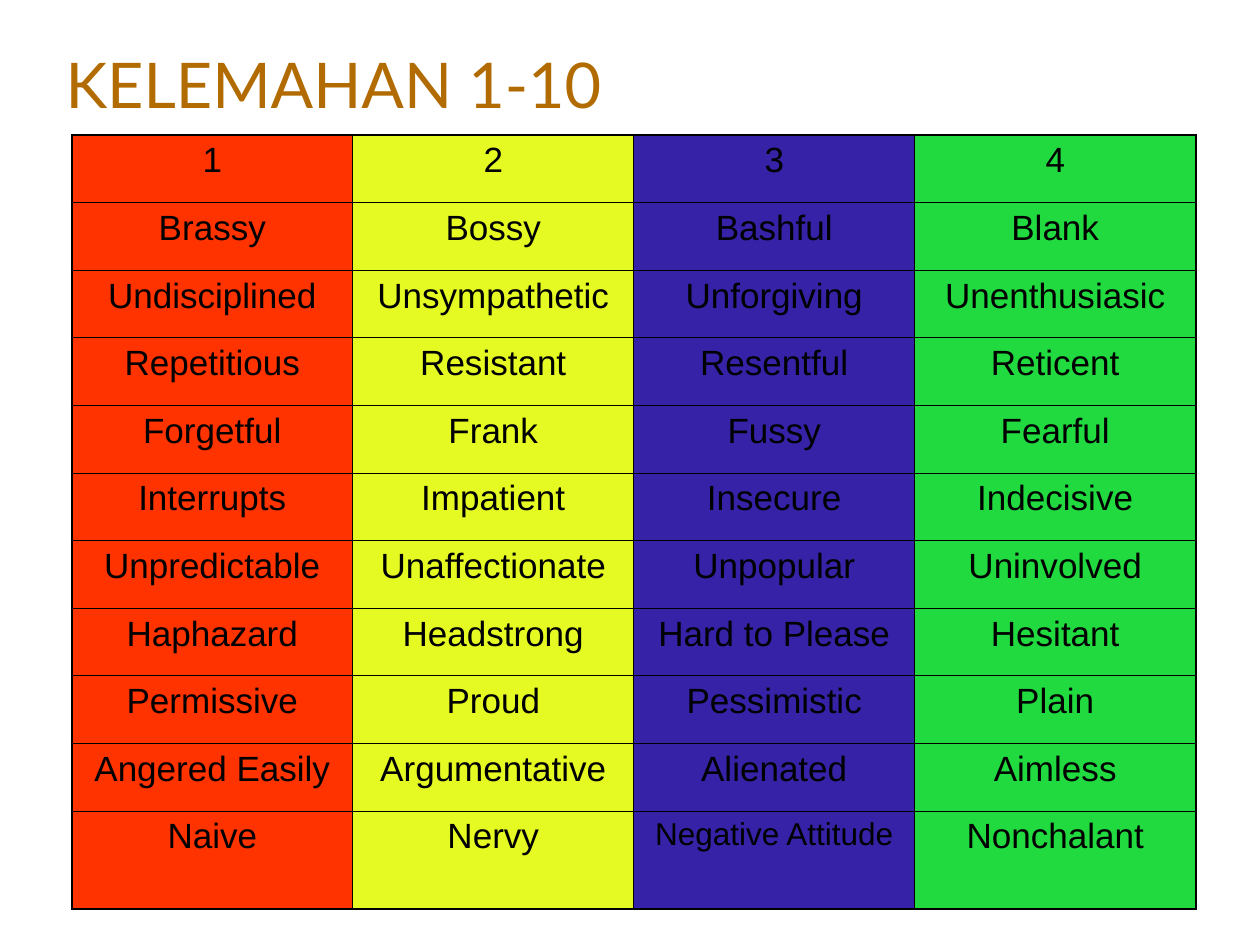
from lxml.etree import SubElement
from pptx import Presentation
from pptx.dml.color import RGBColor
from pptx.enum.text import MSO_ANCHOR, PP_ALIGN
from pptx.oxml import parse_xml
from pptx.oxml.ns import nsdecls, qn
from pptx.util import Inches, Pt

COLUMNS = {
    "FF3300": ["1", "Brassy", "Undisciplined", "Repetitious", "Forgetful", "Interrupts",
               "Unpredictable", "Haphazard", "Permissive", "Angered Easily", "Naive"],
    "E5F923": ["2", "Bossy", "Unsympathetic", "Resistant", "Frank", "Impatient",
               "Unaffectionate", "Headstrong", "Proud", "Argumentative", "Nervy"],
    "3522A6": ["3", "Bashful", "Unforgiving", "Resentful", "Fussy", "Insecure",
               "Unpopular", "Hard to Please", "Pessimistic", "Alienated", "Negative Attitude"],
    "20DA3F": ["4", "Blank", "Unenthusiasic", "Reticent", "Fearful", "Indecisive",
               "Uninvolved", "Hesitant", "Plain", "Aimless", "Nonchalant"],
}
SMALL_TEXT = {"Negative Attitude": 18}
THIN, THICK = 0.45, 1.08


def rgb(color):
    """Turn a hex string into a colour."""
    return RGBColor.from_string(color)


def format_run(r, font, size, color):
    """Set the font, size and colour of a run."""
    r.font.name = font
    r.font.size = Pt(size)
    r.font.color.rgb = rgb(color)


def add_text_shadow(r):
    """Put a dark shadow at the lower right of a run."""
    shadow = parse_xml(
        f'<a:effectLst {nsdecls("a")}><a:outerShdw dist="17780" dir="2700000">'
        '<a:srgbClr val="000000"/></a:outerShdw></a:effectLst>')
    r.font._element.find(qn("a:solidFill")).addnext(shadow)


def add_title(slide, text):
    """Place and format the title placeholder."""
    sp = slide.shapes.title
    sp.left, sp.top, sp.width, sp.height = map(Inches, (0.42, 0.33, 9.17, 0.67))
    tf = sp.text_frame
    tf.text = text
    tf.vertical_anchor = MSO_ANCHOR.MIDDLE
    p = tf.paragraphs[0]
    p.alignment = PP_ALIGN.LEFT
    format_run(p.runs[0], "Lato", 36, "B16B00")
    add_text_shadow(p.runs[0])


def set_borders(cell, widths, color="000000"):
    """Draw the left, right, top and bottom borders of a cell."""
    tcPr = cell._tc.get_or_add_tcPr()
    for side, width in zip("LRTB", widths):
        ln = SubElement(tcPr, qn(f"a:ln{side}"), w=str(Pt(width)))
        fill = SubElement(ln, qn("a:solidFill"))
        SubElement(fill, qn("a:srgbClr"), val=color)


def fill_cell(cell, text, color, widths):
    """Write a centred word on a coloured, bordered cell."""
    set_borders(cell, widths)
    cell.fill.solid()
    cell.fill.fore_color.rgb = rgb(color)
    cell.text = text
    p = cell.text_frame.paragraphs[0]
    p.alignment = PP_ALIGN.CENTER
    format_run(p.runs[0], "Arial", SMALL_TEXT.get(text, 20), "000000")


def add_weakness_table(slide, columns):
    """Build the table with one colour per column and a thicker outer frame."""
    n_cols, n_rows = len(columns), len(next(iter(columns.values())))
    frame = slide.shapes.add_table(
        n_rows, n_cols, *map(Inches, (0.57, 1.07, 8.92, 6.15)))
    table = frame.table
    table.first_row = table.horz_banding = False
    for row in table.rows:
        row.height = Inches(0.537)
    table.rows[n_rows - 1].height = Inches(0.78)
    for col, (color, words) in enumerate(columns.items()):
        for row, word in enumerate(words):
            outer = (col == 0, col == n_cols - 1, row == 0, row == n_rows - 1)
            widths = [THICK if edge else THIN for edge in outer]
            fill_cell(table.cell(row, col), word, color, widths)


def main():
    """Build and save the slide."""
    prs = Presentation()
    prs.slide_width, prs.slide_height = Inches(10), Inches(7.5)
    slide = prs.slides.add_slide(prs.slide_layouts[5])
    add_title(slide, "KELEMAHAN 1-10")
    add_weakness_table(slide, COLUMNS)
    prs.save("out.pptx")


if __name__ == "__main__":
    main()
